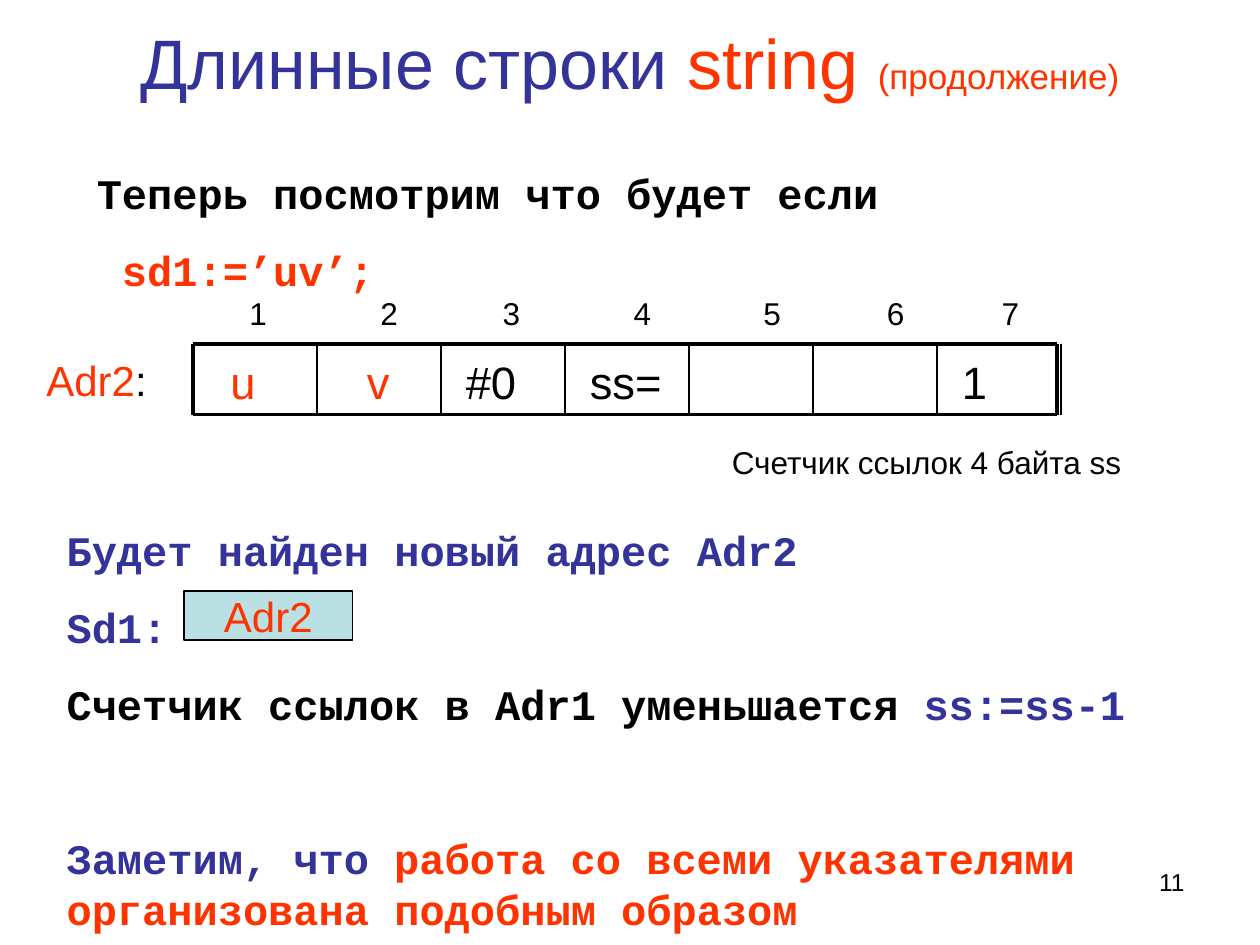
import pptx
import pptx.dml.color
import pptx.enum.shapes
import pptx.enum.text
import pptx.oxml
import pptx.oxml.ns
import pptx.util

COLORS = {"ink": "000000", "navy": "333399", "red": "FF3300", "pale": "BBE0E3", "paper": "FFFFFF"}
SLIDE_WIDTH, SLIDE_HEIGHT = pptx.util.Inches(10), pptx.util.Inches(7.5)
COLUMNS, ROWS = 100, 75
ALIGN = pptx.enum.text.PP_ALIGN
MIDDLE = pptx.enum.text.MSO_ANCHOR.MIDDLE
CODE = {"name": "Courier New", "size": pptx.util.Pt(24), "bold": True}
CODE_SPACING = {"line_spacing": pptx.util.Pt(29), "space_before": pptx.util.Pt(15)}
CODE_INSET = {"margin_top": pptx.util.Inches(0.1)}
PLAIN_INSET = {"margin_top": pptx.util.Inches(0.08)}


def across(columns):
    """Turn grid columns into a length."""
    return round(SLIDE_WIDTH * columns / COLUMNS)


def down(rows):
    """Turn grid rows into a length."""
    return round(SLIDE_HEIGHT * rows / ROWS)


def place(box):
    """Turn a grid box into left, top, width and height."""
    left, top, width, height = box
    return across(left), down(top), across(width), down(height)


def color(name):
    """Look up a named colour."""
    return pptx.dml.color.RGBColor.from_string(COLORS[name])


def arial(size):
    """Give the font values of plain text."""
    return {"name": "Arial", "size": pptx.util.Pt(size)}


def apply(target, values):
    """Set attributes from a dict of format values."""
    for attribute, value in values.items():
        setattr(target, attribute, value)


def add_line(paragraph, runs, font, spacing=None, indent=0, stops=()):
    """Fill a paragraph with runs of (words, colour, font changes)."""
    apply(paragraph, spacing or {})
    properties = paragraph._p.get_or_add_pPr()
    if indent:
        properties.set("marL", str(across(indent)))
        properties.set("indent", "0")
    if stops:
        tabs = "".join(f'<a:tab pos="{across(stop)}" algn="ctr"/>' for stop in stops)
        properties.append(pptx.oxml.parse_xml(
            f'<a:tabLst {pptx.oxml.ns.nsdecls("a")}>{tabs}</a:tabLst>'))
    for words, tint, *changes in runs:
        run = paragraph.add_run()
        run.text = words
        apply(run.font, {**font, **(changes[0] if changes else {})})
        run.font.color.rgb = color(tint)


def add_words(slide, box, lines, font, frame=None):
    """Add a wrapping text box whose lines are (runs, paragraph options)."""
    words = slide.shapes.add_textbox(*place(box)).text_frame
    apply(words, {"word_wrap": True, **(frame or {})})
    for number, (runs, options) in enumerate(lines):
        paragraph = words.add_paragraph() if number else words.paragraphs[0]
        add_line(paragraph, runs, font, **options)


def add_rule(slide, start, end, weight):
    """Draw a black line between two grid points."""
    rule = slide.shapes.add_connector(
        pptx.enum.shapes.MSO_CONNECTOR.STRAIGHT,
        across(start[0]), down(start[1]), across(end[0]), down(end[1]))
    rule.line.color.rgb = color("ink")
    rule.line.width = pptx.util.Pt(weight)
    rule._element.spPr.append(pptx.oxml.parse_xml(
        f'<a:effectLst {pptx.oxml.ns.nsdecls("a")}/>'))


def add_heading(slide, box):
    """Place the slide title."""
    runs = [("Длинные строки ", "navy"), ("string ", "red"),
            ("(продолжение)", "red", arial(20))]
    add_words(slide, box, [(runs, {"spacing": {"alignment": ALIGN.CENTER}})],
              arial(40), {"vertical_anchor": MIDDLE})


def add_assignment(slide, box):
    """Place the question and its assignment statement."""
    first = {"line_spacing": CODE_SPACING["line_spacing"]}
    add_words(slide, box, [
        ([("Теперь посмотрим что будет если", "ink")], {"spacing": first}),
        ([("sd1:=’uv’;", "red")], {"spacing": CODE_SPACING, "indent": 2}),
    ], CODE, CODE_INSET)


def add_memory(slide, box):
    """Draw the numbered memory cells with their address and counter caption."""
    left, top, width, height = box
    cells = [("u", "red", 2), ("v", "red", 3), ("#0", "ink", 1), ("ss=", "ink", 1),
             ("", "ink", 0), ("", "ink", 0), ("1", "ink", 1)]
    pitch = width / len(cells)
    stops = [4.2, 14.6, 24.3, 34.7, 45, 54.8, 63.9]
    numbers = "".join(f"\t{number}" for number in range(1, len(cells) + 1))
    add_words(slide, (left, top - 4.8, width, 4),
              [([(numbers, "ink")], {"stops": stops})], arial(18), PLAIN_INSET)
    for position, (value, tint, indent) in enumerate(cells):
        if value:
            add_words(slide, (left + position * pitch, top, pitch, height),
                      [([(value, tint)], {"indent": indent})], arial(25.9), PLAIN_INSET)
    right, bottom = left + width - 0.3, top + height
    for edge in (top, bottom):
        add_rule(slide, (left, edge), (right, edge), 2.25)
    for position in range(1, len(cells) + 1):
        divider = left + position * pitch
        add_rule(slide, (divider, top), (divider, bottom), 1)
    for side in (left, right):
        add_rule(slide, (side, top), (side, bottom), 2.25)
    add_words(slide, (left + 41.8, bottom + 1.5, 33.9, 4),
              [([("Счетчик ссылок 4 байта ss", "ink")], {})], arial(18), PLAIN_INSET)
    add_words(slide, (left - 12.6, top, 11, 5),
              [([("Adr2", "red"), (":", "ink")], {})], arial(24), PLAIN_INSET)


def add_explanation(slide, box):
    """Place the explanation and the pointer value beside Sd1."""
    left, top, _, _ = box
    first = {"line_spacing": CODE_SPACING["line_spacing"]}
    apart = {**CODE_SPACING, "space_before": pptx.util.Pt(59)}
    add_words(slide, box, [
        ([("Будет найден новый адрес Adr2", "navy")], {"spacing": first}),
        ([("Sd1:", "navy")], {"spacing": CODE_SPACING}),
        ([("Счетчик ссылок в Adr1 уменьшается", "ink"), (" ss:=ss-1", "navy")],
         {"spacing": CODE_SPACING}),
        ([("Заметим, что ", "navy"),
          ("работа со всеми указателями организована подобным образом", "red")],
         {"spacing": apart}),
    ], CODE, CODE_INSET)
    pointer = slide.shapes.add_shape(
        pptx.enum.shapes.MSO_SHAPE.FLOWCHART_PROCESS,
        *place((left + 10.3, top + 6.3, 13.4, 3.9)))
    pointer.shadow.inherit = False
    pointer.fill.solid()
    pointer.fill.fore_color.rgb = color("pale")
    pointer.line.color.rgb = color("ink")
    pointer.line.width = pptx.util.Pt(0.75)
    apply(pointer.text_frame, {"word_wrap": False, "vertical_anchor": MIDDLE})
    add_line(pointer.text_frame.paragraphs[0], [("Adr2", "red")], arial(24),
             {"alignment": ALIGN.CENTER})


def add_page_number(slide, box):
    """Place the page number."""
    add_words(slide, box, [([("11", "ink")], {"spacing": {"alignment": ALIGN.RIGHT}})],
              arial(14))


def main():
    """Build and save the slide."""
    deck = pptx.Presentation()
    apply(deck, {"slide_width": SLIDE_WIDTH, "slide_height": SLIDE_HEIGHT})
    slide = deck.slides.add_slide(deck.slide_layouts[6])
    slide.background.fill.solid()
    slide.background.fill.fore_color.rgb = color("paper")
    add_heading(slide, (5, 3, 90, 3.8))
    add_memory(slide, (15.3, 27.3, 68.9, 5.6))
    add_explanation(slide, (4.3, 40.6, 89.8, 33.4))
    add_assignment(slide, (6.7, 12.3, 65.4, 11.1))
    add_page_number(slide, (71.7, 68.3, 23.3, 5.2))
    deck.save("out.pptx")


if __name__ == "__main__":
    main()
